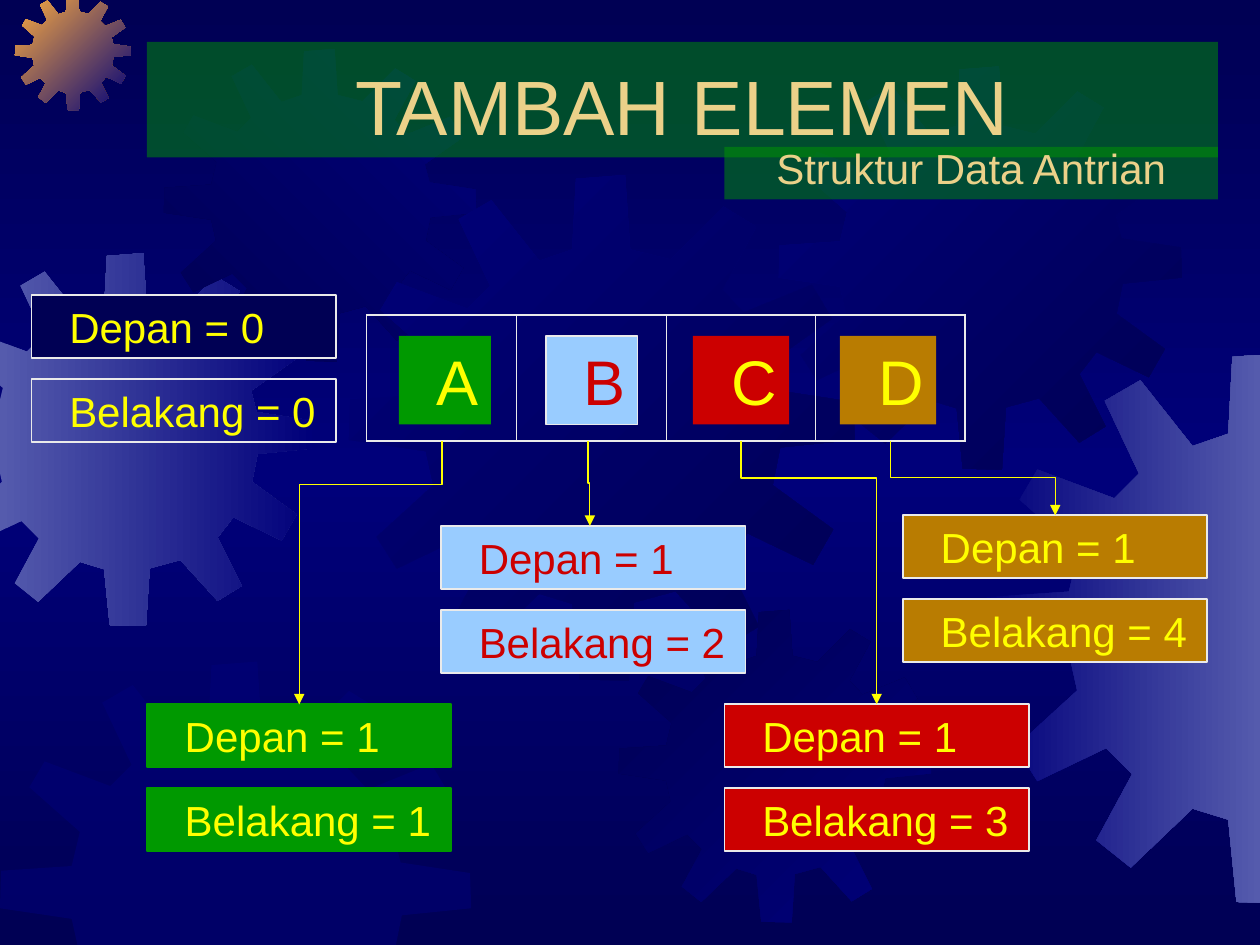
import copy

import lxml.etree
import pptx
import pptx.dml.color
import pptx.enum.shapes
import pptx.enum.text
import pptx.oxml.ns
import pptx.util

Pt = pptx.util.Pt
RGB = pptx.dml.color.RGBColor
qn = pptx.oxml.ns.qn
ALIGN = pptx.enum.text.PP_ALIGN
ANCHOR = pptx.enum.text.MSO_ANCHOR

NAVY = RGB(0x00, 0x00, 0x54)
BLUE = RGB(0x00, 0x00, 0x7A)
LAVENDER = RGB(0x55, 0x5B, 0xAD)
ORANGE = RGB(0xFC, 0xAB, 0x40)
GREEN = RGB(0x00, 0x99, 0x00)
SAND = RGB(0xEB, 0xD1, 0x89)
SKY = RGB(0x99, 0xCC, 0xFF)
RED = RGB(0xCC, 0x00, 0x00)
BROWN = RGB(0xB9, 0x7C, 0x01)
YELLOW = RGB(0xFF, 0xFF, 0x00)
PALE = RGB(0xEA, 0xEA, 0xEA)

SLIDE_W, SLIDE_H = 720, 540
PAIR_W, PAIR_H, PAIR_STEP = 174, 36, 48

GEAR_SPAN = 401
GEAR = [
    (255, 67), (223, 59), (219, 0), (180, 3), (177, 59), (151, 68),
    (113, 20), (87, 35), (112, 88), (94, 106), (38, 85), (25, 107),
    (68, 145), (61, 174), (1, 178), (0, 210), (61, 219), (67, 246),
    (22, 287), (38, 312), (88, 288), (107, 307), (81, 355), (106, 375),
    (151, 332), (177, 340), (183, 400), (222, 401), (226, 339), (259, 330),
    (299, 374), (325, 358), (299, 306), (316, 284), (368, 309), (384, 281),
    (336, 246), (342, 216), (401, 210), (400, 180), (341, 171), (335, 148),
    (383, 114), (367, 87), (313, 109), (296, 91), (323, 41), (297, 25),
]


def set_alpha(sp, percent):
    color = sp._element.spPr.find(qn("a:solidFill"))[0]
    lxml.etree.SubElement(color, qn("a:alpha")).set("val", str(percent * 1000))


def set_gradient(fill, first, last, clockwise):
    fill.gradient()
    fill.gradient_angle = (360 - clockwise) % 360
    for stop, color in zip(fill.gradient_stops, (first, last)):
        stop.color.rgb = color


def clip(points, axis, limit, sign):
    kept = []
    for a, b in zip(points[-1:] + points[:-1], points):
        da, db = sign * (a[axis] - limit), sign * (b[axis] - limit)
        if da * db < 0:
            t = da / (da - db)
            kept.append(tuple(m + t * (n - m) for m, n in zip(a, b)))
        if db >= 0:
            kept.append(b)
    return kept


def add_gear(s, left, top, span):
    scale = span / GEAR_SPAN
    points = [(left + x * scale, top + y * scale) for x, y in GEAR]
    for axis, limit in enumerate((SLIDE_W, SLIDE_H)):
        points = clip(points, axis, 0, 1)
        points = clip(points, axis, limit, -1)
    points = [(Pt(x), Pt(y)) for x, y in points]
    builder = s.shapes.build_freeform(*points[0])
    builder.add_line_segments(points[1:], close=True)
    sp = builder.convert_to_shape()
    sp.shadow.inherit = False
    sp.line.fill.background()
    return sp


def add_backdrop(s):
    fill = s.background.fill
    set_gradient(fill, NAVY, BLUE, 90)
    fill.gradient_stops[1].position = 0.5
    stops = s._element.find(".//" + qn("a:gsLst"))
    end = copy.deepcopy(stops[0])
    end.set("pos", "100000")
    stops.append(end)

    for left, top, span, first, last, angle in (
        (-34.5, 144.7, 213, LAVENDER, BLUE, 0),
        (8.6, -3, 66, ORANGE, BLUE, 45),
        (93.6, 28, 178.6, NAVY, BLUE, 315),
        (199.4, 100, 289, BLUE, NAVY, 45),
        (0, 378, 269.3, BLUE, None, 0),
        (353.5, 348.5, 178.6, NAVY, BLUE, 45),
        (445, 38, 230.4, BLUE, NAVY, 45),
        (563, 201.6, 314.6, BLUE, LAVENDER, 0),
    ):
        sp = add_gear(s, left, top, span)
        if last is None:
            sp.fill.solid()
            sp.fill.fore_color.rgb = first
            set_alpha(sp, 50)
        else:
            set_gradient(sp.fill, first, last, angle)


def add_box(s, left, top, width, height, text, size, color, fill=None, line=None,
            line_width=1, align=ALIGN.CENTER, anchor=ANCHOR.MIDDLE, inset=21.6, wrap=True):
    sp = s.shapes.add_shape(pptx.enum.shapes.MSO_SHAPE.RECTANGLE,
                            Pt(left), Pt(top), Pt(width), Pt(height))
    sp.shadow.inherit = False
    if fill is None:
        sp.fill.background()
    else:
        sp.fill.solid()
        sp.fill.fore_color.rgb = fill
    if line is None:
        sp.line.fill.background()
    else:
        sp.line.color.rgb = line
        sp.line.width = Pt(line_width)
    tf = sp.text_frame
    tf.text = text
    tf.word_wrap = wrap
    tf.vertical_anchor = anchor
    tf.margin_left = Pt(inset)
    p = tf.paragraphs[0]
    p.alignment = align
    font = p.runs[0].font
    font.name, font.size, font.color.rgb = "Arial", Pt(size), color
    return sp


def add_heading(s, left, top, width):
    sub_w = 282
    for x, y, w, h, text, size in (
        (left, top, width, 66, "TAMBAH ELEMEN", 44),
        (left + width - sub_w, top + 60, sub_w, 30, "Struktur Data Antrian", 24),
    ):
        sp = add_box(s, x, y, w, h, text, size, SAND, GREEN, anchor=ANCHOR.BOTTOM, inset=7.2)
        set_alpha(sp, 50)


def add_border(cell, side, width):
    ln = lxml.etree.SubElement(cell._tc.get_or_add_tcPr(), qn("a:" + side))
    ln.set("w", str(Pt(width)))
    fill = lxml.etree.SubElement(ln, qn("a:solidFill"))
    lxml.etree.SubElement(fill, qn("a:srgbClr")).set("val", str(PALE))


def add_queue(s, left, top, width, height):
    for i, (letter, w, fill, color, line) in enumerate((
        ("A", 52.5, GREEN, YELLOW, None),
        ("B", 52.5, SKY, RED, PALE),
        ("C", 55, RED, YELLOW, None),
        ("D", 55, BROWN, YELLOW, None),
    )):
        add_box(s, left + 18.5 + 84 * i, top + 12, w, 50.5, letter, 36, color,
                fill, line, 0.75, wrap=False)

    table = s.shapes.add_table(1, 4, Pt(left), Pt(top), Pt(width), Pt(height)).table
    table.first_row = table.horz_banding = False
    for i in range(4):
        cell = table.cell(0, i)
        add_border(cell, "lnL", 1.08 if i == 0 else 0.45)
        add_border(cell, "lnR", 1.08 if i == 3 else 0.45)
        add_border(cell, "lnT", 1.08)
        add_border(cell, "lnB", 1.08)
        cell.fill.background()


def add_state(s, left, top, front, rear, color, front_fill, rear_fill, line):
    for i, (text, fill) in enumerate(((f"Depan = {front}", front_fill),
                                      (f"Belakang = {rear}", rear_fill))):
        add_box(s, left, top + PAIR_STEP * i, PAIR_W, PAIR_H, text, 24, color,
                fill, line, align=ALIGN.LEFT)


def add_arrow(s, x1, y1, x2, y2, bend):
    w, h = y2 - y1, abs(x2 - x1)
    left, top = (x1 + x2 - w) / 2, (y1 + y2 - h) / 2
    c = s.shapes.add_connector(pptx.enum.shapes.MSO_CONNECTOR.ELBOW,
                               Pt(left), Pt(top), Pt(left + w), Pt(top + h))
    c.line.color.rgb = YELLOW
    c.line.width = Pt(0.75)
    props = c._element.spPr
    xfrm = props.find(qn("a:xfrm"))
    xfrm.set("rot", str((270 if x2 > x1 else 90) * 60000))
    if x2 > x1:
        xfrm.set("flipH", "1")
    guide = lxml.etree.SubElement(props.find(".//" + qn("a:avLst")), qn("a:gd"))
    guide.set("name", "adj1")
    guide.set("fmla", f"val {round(bend / w * 100000)}")
    lxml.etree.SubElement(props.find(qn("a:ln")), qn("a:tailEnd")).set("type", "triangle")
    lxml.etree.SubElement(props, qn("a:effectLst"))


def main():
    prs = pptx.Presentation()
    prs.slide_width, prs.slide_height = Pt(SLIDE_W), Pt(SLIDE_H)
    s = prs.slides.add_slide(prs.slide_layouts[6])
    add_backdrop(s)
    add_heading(s, 84, 24, 612)
    add_queue(s, 209.5, 180, 342, 72)
    add_state(s, 18, 168.5, 0, 0, YELLOW, NAVY, None, PALE)
    for rear, (left, top, color, fill, line, start, end, bend) in enumerate((
        (84, 402.5, YELLOW, GREEN, GREEN, 252.5, 171, 25),
        (252, 300.5, RED, SKY, PALE, 336, 337, 24),
        (414, 402.5, YELLOW, RED, PALE, 423.5, 501, 21),
        (516, 294.5, YELLOW, BROWN, PALE, 509, 603, 21),
    ), 1):
        add_state(s, left, top, 1, rear, color, fill, fill, line)
        add_arrow(s, start, 252, end, top, bend)
    prs.save("out.pptx")


if __name__ == "__main__":
    main()
